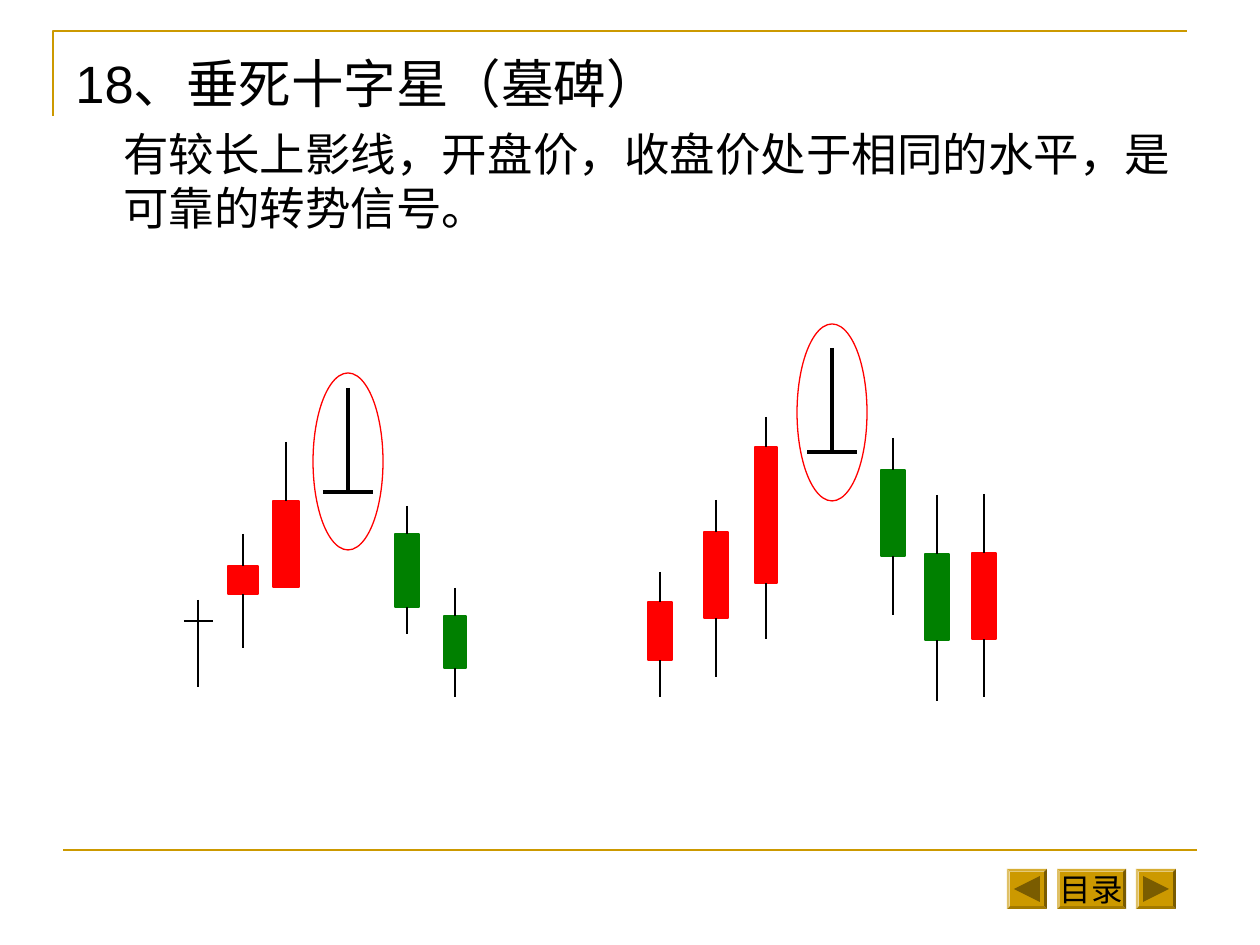
from lxml.etree import SubElement
from pptx import Presentation
from pptx.dml.color import RGBColor
from pptx.enum.shapes import MSO_CONNECTOR, MSO_SHAPE
from pptx.enum.text import MSO_ANCHOR, PP_ALIGN
from pptx.oxml.ns import qn
from pptx.util import Pt

SCALE = 914400 / 126
COLOURS = {
    "gold": "CC9900",
    "dark_gold": "7A5C00",
    "red": "FF0000",
    "green": "008000",
    "black": "000000",
    "white": "FFFFFF",
}
TOP, BOTTOM = 0, 2


def px(length):
    return round(length * SCALE)


def colour(name):
    return RGBColor.from_string(COLOURS[name])


class SlideBuilder:
    def __init__(self, page, font):
        self.page = page
        self.font = font

    def shape(self, kind, left, top, width, height, fill, outline=None):
        shape = self.page.shapes.add_shape(
            kind, px(left), px(top), px(width), px(height))
        shape.shadow.inherit = False
        shape.fill.solid()
        shape.fill.fore_color.rgb = colour(fill)
        if outline:
            shape.line.color.rgb = colour(outline)
            shape.line.width = Pt(0.75)
        else:
            shape.line.fill.background()
        return shape

    def line(self, x1, y1, x2, y2, tint="black", weight=0.75):
        line = self.page.shapes.add_connector(
            MSO_CONNECTOR.STRAIGHT, px(x1), px(y1), px(x2), px(y2))
        line.line.color.rgb = colour(tint)
        line.line.width = Pt(weight)
        SubElement(line._element.spPr, qn("a:effectLst"))
        return line

    def corner(self, points):
        builder = self.page.shapes.build_freeform(*points[0], scale=SCALE)
        builder.add_line_segments(points[1:], close=False)
        frame = builder.convert_to_shape()
        frame.shadow.inherit = False
        frame.fill.background()
        frame.line.color.rgb = colour("gold")
        frame.line.width = Pt(1.5)

    def span(self, para, text, size):
        span = para.add_run()
        span.text = text
        span.font.name = self.font
        span.font.size = Pt(size)
        span.font.color.rgb = colour("black")

    def text(self, left, top, width, height, paragraphs):
        box = self.page.shapes.add_textbox(
            px(left), px(top), px(width), px(height))
        frame = box.text_frame
        frame.word_wrap = True
        for index, (text, size, indent, before) in enumerate(paragraphs):
            para = frame.add_paragraph() if index else frame.paragraphs[0]
            para._p.get_or_add_pPr().set("marL", str(px(indent)))
            para.space_before = Pt(before)
            self.span(para, text, size)

    def button(self, left, top, width, height):
        button = self.shape(MSO_SHAPE.BEVEL, left, top, width, height, "gold")
        button.adjustments[0] = 0.07
        return button

    def text_button(self, left, top, width, height, text):
        frame = self.button(left, top, width, height).text_frame
        frame.word_wrap = False
        frame.vertical_anchor = MSO_ANCHOR.MIDDLE
        frame.margin_left = frame.margin_right = 0
        frame.margin_top = frame.margin_bottom = 0
        para = frame.paragraphs[0]
        para.alignment = PP_ALIGN.CENTER
        self.span(para, text, 18)

    def arrow_button(self, left, top, size, rotation):
        self.button(left, top, size, size)
        arrow = self.shape(MSO_SHAPE.ISOSCELES_TRIANGLE,
                           left + 7, top + 7, size - 14, size - 14, "dark_gold")
        arrow.rotation = rotation

    def candle(self, centre, half, top, bottom, tint, high, low):
        body = self.shape(MSO_SHAPE.RECTANGLE, centre - half, top,
                          2 * half, bottom - top, tint, tint)
        for tip, edge, side in ((high, top, TOP), (low, bottom, BOTTOM)):
            if tip:
                wick = self.line(centre, tip, centre, edge)
                wick.end_connect(body, side)

    def gravestone(self, centre, ring_top, base):
        self.shape(MSO_SHAPE.OVAL, centre - 35, ring_top, 70, 177, "white", "red")
        self.line(centre, base - 104, centre, base, weight=2)
        self.line(centre - 25, base, centre + 25, base, weight=2)


CANDLES = [
    (243, 15, 566, 594, "red", 534, 648),
    (286, 13, 501, 587, "red", 442, None),
    (407, 12, 534, 607, "green", 506, 634),
    (455, 11, 616, 668, "green", 588, 697),
    (660, 12, 602, 660, "red", 572, 697),
    (716, 12, 532, 618, "red", 500, 677),
    (766, 11, 447, 583, "red", 417, 639),
    (893, 12, 470, 556, "green", 438, 615),
    (937, 12, 554, 640, "green", 495, 701),
    (984, 12, 553, 639, "red", 494, 697),
]
GRAVESTONES = [(348, 373, 492), (832, 324, 452)]


def main():
    deck = Presentation()
    deck.slide_width, deck.slide_height = px(1260), px(945)
    page = deck.slides.add_slide(deck.slide_layouts[6])
    builder = SlideBuilder(page, "Arial")

    builder.corner([(53, 116), (53, 31), (1187, 31)])
    builder.line(63, 850, 1197, 850, "gold", 1.5)
    builder.arrow_button(1007, 869, 40, -90)
    builder.text_button(1057, 869, 69, 40, "目录")
    builder.arrow_button(1136, 869, 40, 90)

    builder.text(63, 45, 1134, 853, [
        ("18、垂死十字星（墓碑）", 30, 0, 0),
        ("有较长上影线，开盘价，收盘价处于相同的水平，是可靠的转势信号。", 26, 48, 6.5),
    ])

    builder.line(198, 600, 198, 687)
    builder.line(184, 621, 213, 621)
    for candle in CANDLES:
        builder.candle(*candle)
    for gravestone in GRAVESTONES:
        builder.gravestone(*gravestone)

    deck.save("out.pptx")


if __name__ == "__main__":
    main()
